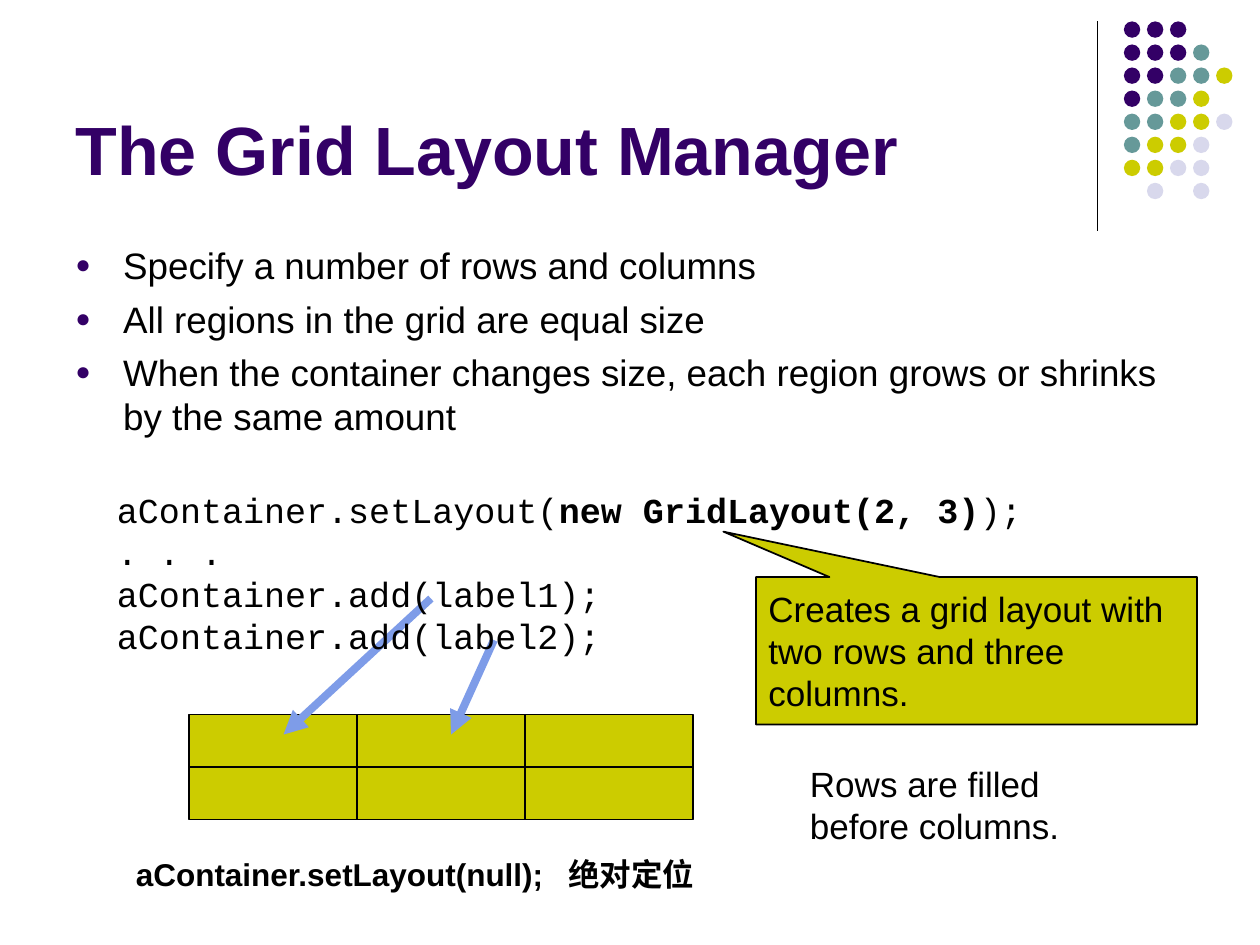
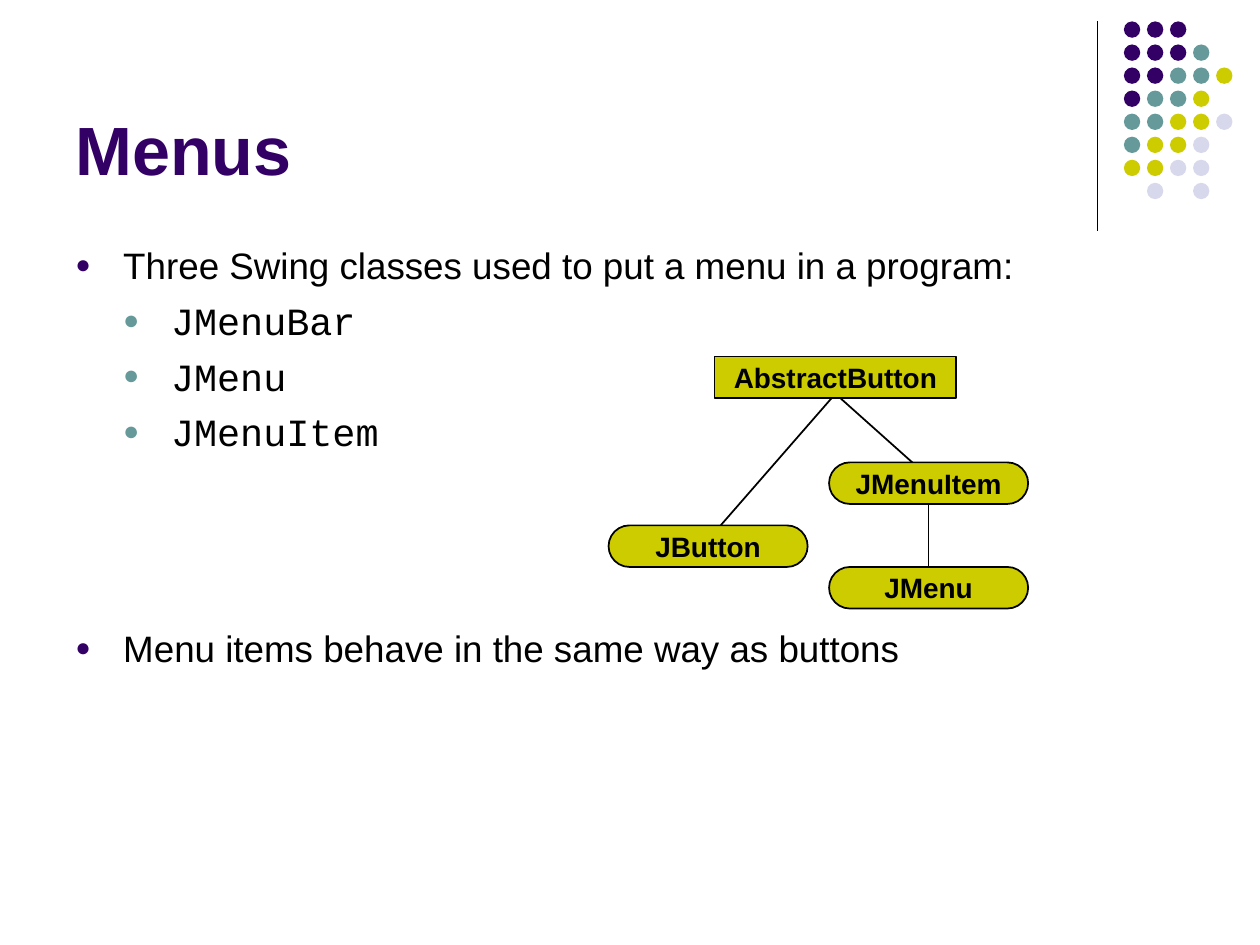
from lxml import etree
from pptx import Presentation
from pptx.dml.color import RGBColor
from pptx.enum.shapes import MSO_CONNECTOR, MSO_SHAPE
from pptx.enum.text import MSO_ANCHOR, PP_ALIGN
from pptx.oxml.ns import qn
from pptx.util import Inches, Pt

# Shared look
PURPLE, TEAL, OLIVE, PALE = "330066", "669999", "CCCC00", "D8D8EC"
BLACK, BLUE = "000000", "7E9CE8"
SANS, MONO = "Arial", "Courier New"
DOT_COLORS = {"P": PURPLE, "T": TEAL, "O": OLIVE, "L": PALE}
DOT_ROWS = ["PPP", "PPPT", "PPTTO", "PTTO", "TTOOL", "TOOL", "OOLL", ".L.L"]
DOT_LEFT, DOT_TOP, DOT_STEP, DOT_SIZE = 8.92, 0.17, 0.183, 0.13
LEVELS = [
    dict(font=SANS, size=21, before=5.2, bullet=PURPLE),
    dict(font=MONO, size=22, before=5.5, bullet=TEAL),
]
INDENT = 0.38

# Grid layout slide: bullets are (level, text, optional space before)
GRID_TITLE = "The Grid Layout Manager"
GRID_BULLETS = [
    (0, "Specify a number of rows and columns"),
    (0, "All regions in the grid are equal size"),
    (0, "When the container changes size, each region grows or shrinks by the same amount"),
]
CODE = [
    [("aContainer.setLayout(", False), ("new GridLayout(2, 3)", True), (");", False)],
    ". . .",
    "aContainer.add(label1);",
    "aContainer.add(label2);",
]
CALLOUT = "Creates a grid layout with two rows and three columns."
FILL_ORDER = "Rows are filled before columns."
ABSOLUTE = "aContainer.setLayout(null);\t绝对定位"
GRID_ROWS, GRID_COLUMNS = 2, 3
GRID_LEFT, GRID_TOP, CELL_WIDTH, CELL_HEIGHT = 1.5, 5.67, 4 / 3, 0.417
LABEL_ARROWS = [(3.42, 4.75, 2.25, 5.83), (3.92, 5.08, 3.58, 5.83)]

# Menu slide
MENU_TITLE = "Menus"
MENU_BULLETS = [
    (0, "Three Swing classes used to put a menu in a program:"),
    (1, "JMenuBar"),
    (1, "JMenu"),
    (1, "JMenuItem"),
    (0, "Menu items behave in the same way as buttons", 98),
]
CLASS_LINES = [(6.58, 3.08, 7.42, 3.83), (6.67, 3.08, 5.58, 4.33), (7.37, 3.75, 7.37, 4.67)]
CLASSES = [
    ("AbstractButton", MSO_SHAPE.RECTANGLE, 5.67, 2.83, 1.92),
    ("JButton", MSO_SHAPE.ROUNDED_RECTANGLE, 4.83, 4.17, 1.58),
    ("JMenu", MSO_SHAPE.ROUNDED_RECTANGLE, 6.58, 4.5, 1.58),
    ("JMenuItem", MSO_SHAPE.ROUNDED_RECTANGLE, 6.58, 3.67, 1.58),
]
CLASS_HEIGHT = 0.33


def rgb(value):
    return RGBColor.from_string(value)


def add_paragraph_element(para, tag, **attributes):
    properties = para._p.get_or_add_pPr()
    return etree.SubElement(properties, qn(tag), attributes)


def set_bullet(para, level, color):
    properties = para._p.get_or_add_pPr()
    properties.set("marL", str(Inches(INDENT * (level + 1))))
    properties.set("indent", str(-Inches(INDENT)))
    etree.SubElement(add_paragraph_element(para, "a:buClr"), qn("a:srgbClr"), val=color)
    add_paragraph_element(para, "a:buSzPct", val="70000")
    add_paragraph_element(para, "a:buFont", typeface=SANS)
    add_paragraph_element(para, "a:buChar", char="●")


def write(para, content, font=SANS, size=20, color=BLACK, bold=False, align=PP_ALIGN.LEFT):
    """Write a string, or a list of (text, bold) spans, into one paragraph."""
    para.alignment = align
    spans = [(content, bold)] if isinstance(content, str) else content
    for text, heavy in spans:
        span = para.add_run()
        span.text = text
        span.font.name, span.font.size, span.font.bold = font, Pt(size), heavy
        span.font.color.rgb = rgb(color)


def add_text(page, left, top, width, height, lines=(), anchor=MSO_ANCHOR.TOP, wrap=True, **style):
    box = page.shapes.add_textbox(Inches(left), Inches(top), Inches(width), Inches(height))
    frame = box.text_frame
    frame.word_wrap, frame.vertical_anchor = wrap, anchor
    for index, line in enumerate(lines):
        write(frame.add_paragraph() if index else frame.paragraphs[0], line, **style)
    return frame


def add_block(page, kind, left, top, width, height, fill=OLIVE, outline=BLACK, text="",
              wrap=True, **style):
    block = page.shapes.add_shape(kind, Inches(left), Inches(top), Inches(width), Inches(height))
    block.shadow.inherit = False
    block.fill.solid()
    block.fill.fore_color.rgb = rgb(fill)
    if outline:
        block.line.color.rgb, block.line.width = rgb(outline), Pt(1)
    else:
        block.line.fill.background()
    if text:
        block.text_frame.word_wrap = wrap
        block.text_frame.vertical_anchor = MSO_ANCHOR.MIDDLE
        write(block.text_frame.paragraphs[0], text, **style)
    return block


def add_line(page, ends, color=BLACK, width=1, arrow=False):
    line = page.shapes.add_connector(MSO_CONNECTOR.STRAIGHT, *[Inches(value) for value in ends])
    line.line.color.rgb, line.line.width = rgb(color), Pt(width)
    if arrow:
        etree.SubElement(line.line._get_or_add_ln(), qn("a:tailEnd"), type="triangle")
    etree.SubElement(line._element.spPr, qn("a:effectLst"))


def add_page(deck, title, bullets):
    page = deck.slides.add_slide(deck.slide_layouts[6])
    # Corner rule and dots
    add_line(page, (8.71, 0.17, 8.71, 1.83), width=0.75)
    for row, pattern in enumerate(DOT_ROWS):
        for column, key in enumerate(pattern):
            if key in DOT_COLORS:
                add_block(page, MSO_SHAPE.OVAL, DOT_LEFT + column * DOT_STEP,
                          DOT_TOP + row * DOT_STEP, DOT_SIZE, DOT_SIZE,
                          fill=DOT_COLORS[key], outline=None)
    # Title and bullets
    add_text(page, 0.5, 0.13, 8.25, 1.42, [title], anchor=MSO_ANCHOR.BOTTOM,
             size=39, color=PURPLE, bold=True)
    frame = add_text(page, 0.5, 1.88, 9, 4.82)
    for index, (level, text, *gap) in enumerate(bullets):
        style = LEVELS[level]
        para = frame.add_paragraph() if index else frame.paragraphs[0]
        set_bullet(para, level, style["bullet"])
        if index:
            para.space_before = Pt(gap[0] if gap else style["before"])
        write(para, text, font=style["font"], size=style["size"])
    return page


def build_grid_page(deck):
    page = add_page(deck, GRID_TITLE, GRID_BULLETS)
    for row in range(GRID_ROWS):
        for column in range(GRID_COLUMNS):
            add_block(page, MSO_SHAPE.RECTANGLE, GRID_LEFT + column * CELL_WIDTH,
                      GRID_TOP + row * CELL_HEIGHT, CELL_WIDTH, CELL_HEIGHT)
    callout = add_block(page, MSO_SHAPE.RECTANGULAR_CALLOUT, 6, 4.58, 3.5, 1.17, text=CALLOUT)
    callout.adjustments[0], callout.adjustments[1] = -0.574, -0.808
    for ends in LABEL_ARROWS:
        add_line(page, ends, color=BLUE, width=4.5, arrow=True)
    add_text(page, 0.83, 3.83, 7.38, 1.44, CODE, wrap=False, font=MONO)
    add_text(page, 6.33, 6, 2.53, 0.77, [FILL_ORDER])
    # The tab stop separates the call from its meaning
    frame = add_text(page, 0.98, 6.74, 5.75, 0.4)
    para = frame.paragraphs[0]
    stops = add_paragraph_element(para, "a:tabLst")
    etree.SubElement(stops, qn("a:tab"), pos=str(Inches(3.43)), algn="l")
    write(para, ABSOLUTE, size=18, bold=True)


def build_menu_page(deck):
    page = add_page(deck, MENU_TITLE, MENU_BULLETS)
    for ends in CLASS_LINES:
        add_line(page, ends)
    for name, kind, left, top, width in CLASSES:
        block = add_block(page, kind, left, top, width, CLASS_HEIGHT, text=name, wrap=False,
                          size=16, bold=True, align=PP_ALIGN.CENTER)
        if kind == MSO_SHAPE.ROUNDED_RECTANGLE:
            block.adjustments[0] = 0.5


def main():
    deck = Presentation()
    deck.slide_width, deck.slide_height = Inches(10), Inches(7.5)
    build_grid_page(deck)
    build_menu_page(deck)
    deck.save("out.pptx")


if __name__ == "__main__":
    main()
